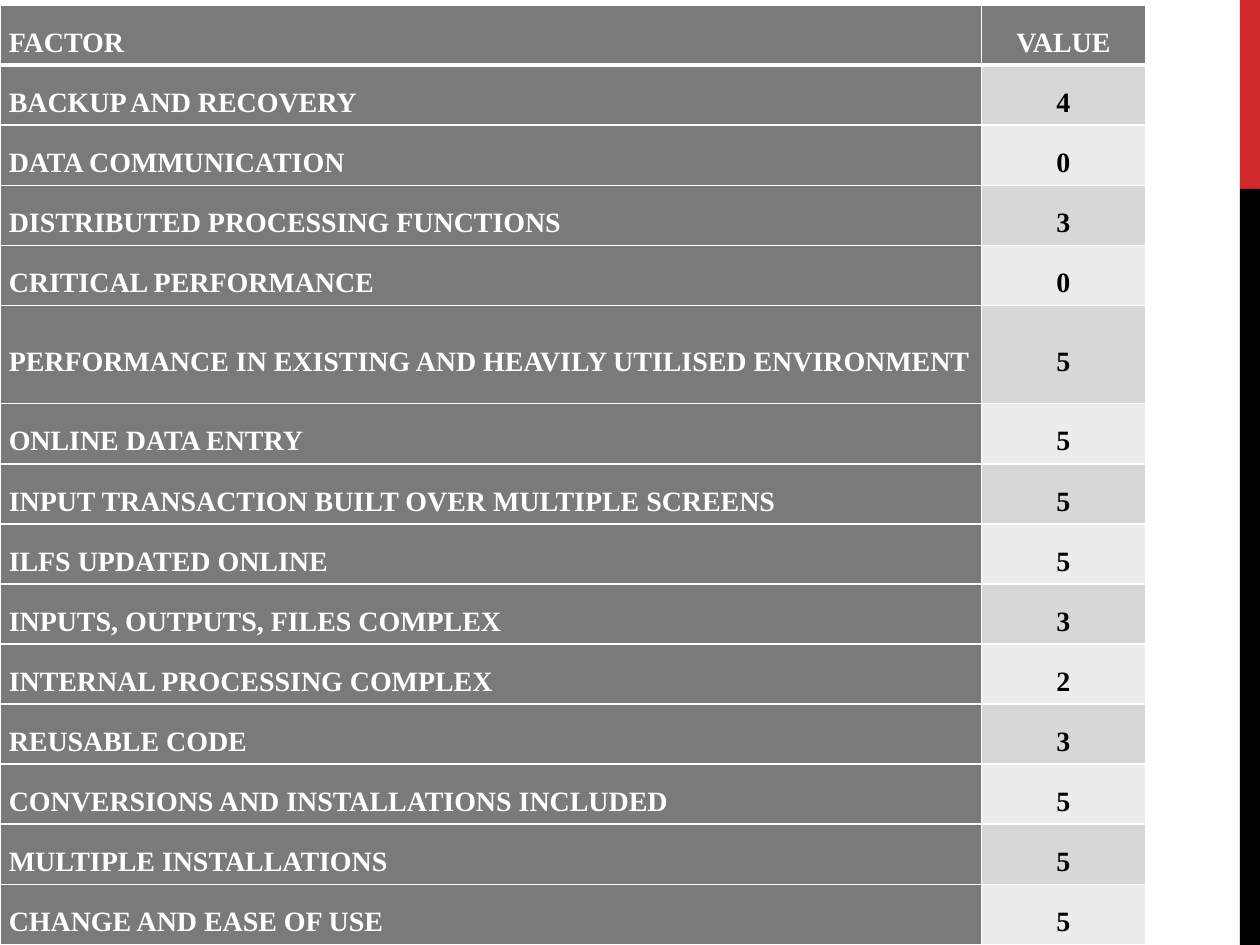
from lxml.etree import SubElement
from pptx import Presentation
from pptx.dml.color import RGBColor
from pptx.enum.shapes import MSO_SHAPE as Shape
from pptx.enum.text import MSO_ANCHOR as Anchor, PP_ALIGN as Align
from pptx.oxml.ns import qn
from pptx.util import Inches, Pt


def paint(fill, color):
    fill.solid()
    fill.fore_color.rgb = RGBColor.from_string(color)


def write(cell, text, color="FFFFFF", align=Align.LEFT, size=16):
    cell.vertical_anchor = Anchor.MIDDLE
    cell.margin_left = cell.margin_right = Inches(0.07)
    cell.margin_top = cell.margin_bottom = 0
    para = cell.text_frame.paragraphs[0]
    para.alignment = align
    para.line_spacing = 1.5
    para.space_after = Pt(6)
    span = para.add_run()
    span.text = text
    span.font.name = "Times New Roman"
    span.font.size = Pt(size)
    span.font.bold = True
    paint(span.font.fill, color)


FACTORS = [
    ("FACTOR", "VALUE"),
    ("BACKUP AND RECOVERY", "4"),
    ("DATA COMMUNICATION", "0"),
    ("DISTRIBUTED PROCESSING FUNCTIONS", "3"),
    ("CRITICAL PERFORMANCE", "0"),
    ("PERFORMANCE IN EXISTING AND HEAVILY UTILISED ENVIRONMENT", "5"),
    ("ONLINE DATA ENTRY", "5"),
    ("INPUT TRANSACTION BUILT OVER MULTIPLE SCREENS", "5"),
    ("ILFS UPDATED ONLINE", "5"),
    ("INPUTS, OUTPUTS, FILES COMPLEX", "3"),
    ("INTERNAL PROCESSING COMPLEX", "2"),
    ("REUSABLE CODE", "3"),
    ("CONVERSIONS AND INSTALLATIONS INCLUDED", "5"),
    ("MULTIPLE INSTALLATIONS", "5"),
    ("CHANGE AND EASE OF USE", "5"),
]
GRAY = "7A7A7A"
BANDS = ["ECECEC", "D7D7D7"]
TALL_ROW = 5
TABLE_HEIGHT, TALL_HEIGHT = 7.46, 0.78
ROW_HEIGHT = (TABLE_HEIGHT - TALL_HEIGHT) / (len(FACTORS) - 1)

deck = Presentation()
deck.slide_width, deck.slide_height = Inches(10), Inches(7.5)
page = deck.slides.add_slide(deck.slide_layouts[6])
paint(page.background.fill, "FFFFFF")

for top, height, color in [(0, 1.5, "D1282E"), (1.5, 6, "000000")]:
    bar = page.shapes.add_shape(
        Shape.RECTANGLE, Inches(9.84), Inches(top), Inches(0.16), Inches(height))
    bar.shadow.inherit = False
    paint(bar.fill, color)
    bar.line.fill.background()

table = page.shapes.add_table(
    len(FACTORS), 2, 0, Inches(0.04), Inches(9.08), Inches(TABLE_HEIGHT)).table
table.columns[0].width = Inches(7.79)
table.columns[1].width = Inches(1.3)

for row, texts in enumerate(FACTORS):
    table.rows[row].height = Inches(TALL_HEIGHT if row == TALL_ROW else ROW_HEIGHT)
    for column, text in enumerate(texts):
        cell = table.cell(row, column)
        is_value = column == 1
        is_banded = is_value and row > 0
        write(cell, text, color="000000" if is_banded else "FFFFFF",
              align=Align.CENTER if is_value else Align.LEFT)
        properties = cell._tc.get_or_add_tcPr()
        for side in ("L", "R", "T", "B"):
            is_thick = (row, side) in [(0, "B"), (1, "T")]
            border = SubElement(properties, qn(f"a:ln{side}"), w=str(Pt(3 if is_thick else 1)))
            SubElement(SubElement(border, qn("a:solidFill")), qn("a:srgbClr"), val="FFFFFF")
        paint(cell.fill, BANDS[row % 2] if is_banded else GRAY)

deck.save("out.pptx")
